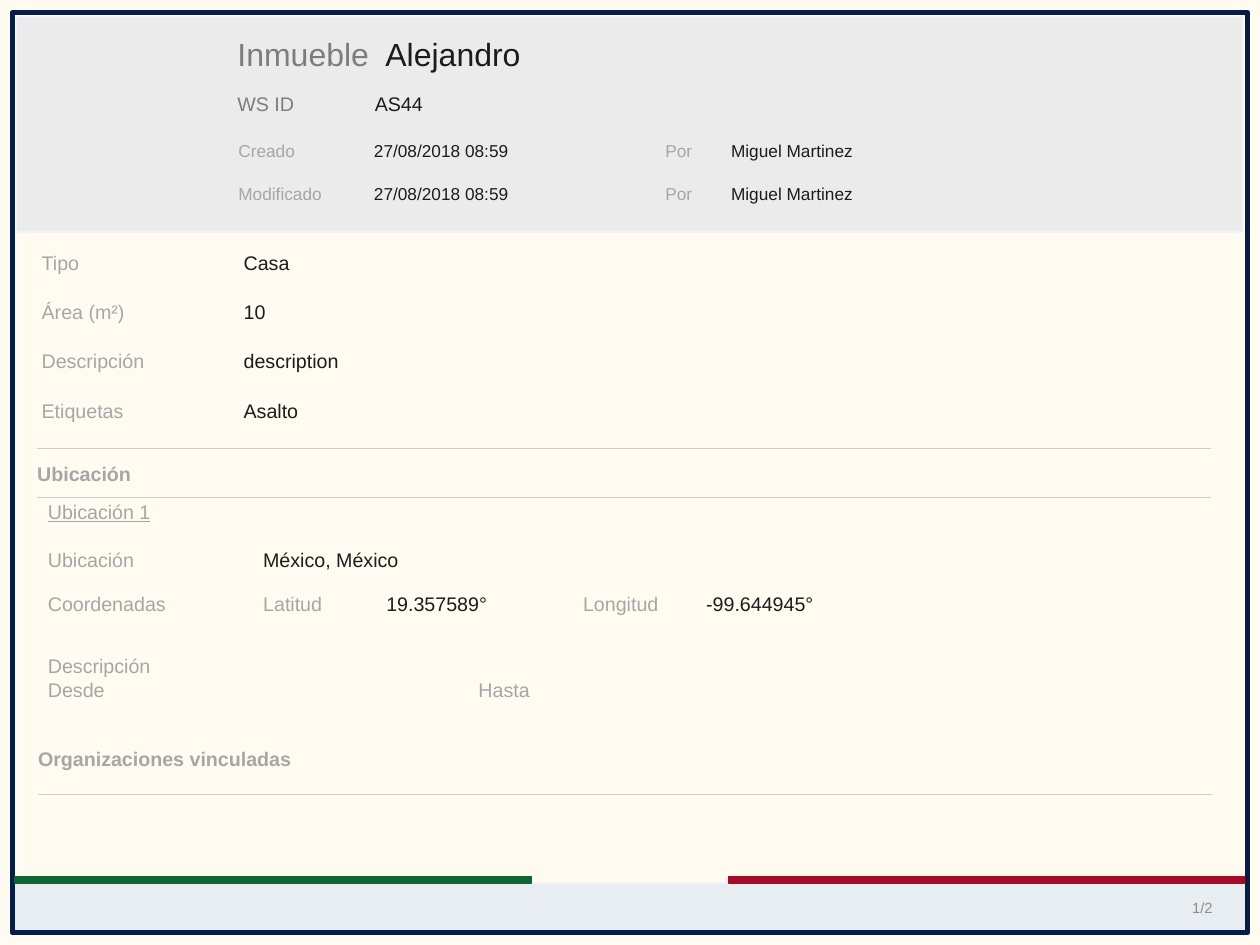
from pptx import Presentation
from pptx import util as u
from pptx.dml.color import RGBColor
from pptx.enum import shapes, text
from lxml import etree

# Content
TITLE = ("Inmueble", "Alejandro")
IDENTIFIER = ("WS ID", "AS44")
HISTORY = [
    ("Creado", "27/08/2018 08:59", "Por", "Miguel Martinez"),
    ("Modificado", "27/08/2018 08:59", "Por", "Miguel Martinez"),
]
DETAILS = [
    ("Tipo", "Casa"),
    ("Área (m²)", "10"),
    ("Descripción", "description"),
    ("Etiquetas", "Asalto"),
]
LOCATION_HEADING = "Ubicación"
LOCATION_NAME = "Ubicación 1"
PLACE = ("Ubicación", "México, México")
COORDINATES = ("Coordenadas", "Latitud", "19.357589°", "Longitud", "-99.644945°")
LOCATION_NOTE = "Descripción"
PERIOD = ("Desde", "Hasta")
LINKED_HEADING = "Organizaciones vinculadas"
PAGE_NUMBER = "1/2"

# Palette
PAPER, NAVY, GREEN, RED = "FFFBF0", "051D49", "0E6732", "A60B2A"
HEADER, FOOTER, EDGE, RULE = "EBEBEB", "E8EDF2", "F1F4F7", "D1CBCB"
INK, LABEL, TITLE_GREY, PAGE_GREY = "1C1C1C", "A6A6A6", "7D7D7D", "8D8D8D"

# Grid, in inches: (left, width) of the columns, then row steps
WIDTH, HEIGHT = 14.22, 10.67
ROW = 0.42
TITLE_COLUMNS = [(2.62, 1.67), (4.29, 9.31)]
ID_COLUMNS = [(2.62, 1.1), (4.17, 3.1)]
HISTORY_COLUMNS = [(2.69, 1.53), (4.22, 2.78), (7.51, 0.74), (8.25, 5.35)]
DETAIL_COLUMNS = [(0.47, 2.22), (2.69, 10.96)]
PLACE_COLUMNS = [(0.54, 2.22), (2.97, 9.44)]
COORDINATE_COLUMNS = [(0.54, 2.22), (2.97, 1.39), (4.36, 1.67),
                      (6.58, 1.39), (7.97, 1.67)]
PERIOD_COLUMNS = [(0.54, 2.22), (5.4, 2.22)]
HISTORY_TOP, LOCATION_TOP, NARROW_STEP = 1.58, 6.19, 0.49
DETAIL_TOP, DETAIL_STEP = 2.83, 0.557
RULE_LENGTH = 13.25
STRIPE_WIDTH, STRIPE_TOP, STRIPE_HEIGHT = 5.83, 9.9, 0.07

deck = Presentation()
deck.slide_width, deck.slide_height = u.Inches(WIDTH), u.Inches(HEIGHT)
page = deck.slides.add_slide(deck.slide_layouts[6])


def colour(value):
    return RGBColor.from_string(value)


def add_panel(left, top, width, height, fill, line, weight=1):
    panel = page.shapes.add_shape(shapes.MSO_SHAPE.RECTANGLE,
                                  *map(u.Inches, (left, top, width, height)))
    panel.shadow.inherit = False
    if fill:
        panel.fill.solid()
        panel.fill.fore_color.rgb = colour(fill)
    else:
        panel.fill.background()
    panel.line.color.rgb = colour(line)
    panel.line.width = u.Pt(weight)


def add_rule(left, top):
    rule = page.shapes.add_connector(
        shapes.MSO_CONNECTOR.STRAIGHT,
        *map(u.Inches, (left, top, left + RULE_LENGTH, top)))
    rule.line.color.rgb = colour(RULE)
    rule.line.width = u.Pt(1)
    properties = rule.line._get_or_add_ln().getparent()
    namespace = "http://schemas.openxmlformats.org/drawingml/2006/main"
    etree.SubElement(properties, "{%s}effectLst" % namespace)


def add_text(words, left, top, width, height=ROW, size=16, ink=LABEL,
             inset=0, bold=None, underline=None, centred=False):
    box = page.shapes.add_textbox(*map(u.Inches, (left, top, width, height)))
    frame = box.text_frame
    frame.word_wrap = True
    frame.margin_left = u.Inches(inset)
    frame.margin_top = frame.margin_right = frame.margin_bottom = 0
    para = frame.paragraphs[0]
    if centred:
        frame.vertical_anchor = text.MSO_ANCHOR.MIDDLE
        para.alignment = text.PP_ALIGN.CENTER
    span = para.add_run()
    span.text = words
    span.font.name = "Arial"
    span.font.size = u.Pt(size)
    span.font.color.rgb = colour(ink)
    span.font.bold = bold
    span.font.underline = underline


def add_row(words, columns, top, inks, insets=None, **style):
    insets = insets or [0] * len(words)
    for word, (left, width), ink, inset in zip(words, columns, inks, insets):
        add_text(word, left, top, width, ink=ink, inset=inset, **style)


# Background, footer and frame
page.background.fill.solid()
page.background.fill.fore_color.rgb = colour(PAPER)
add_panel(0.14, 9.97, 13.92, 0.56, FOOTER, EDGE)
add_panel(0.14, 0.14, 13.94, 10.39, None, NAVY, 4)
add_text(PAGE_NUMBER, 13.25, 10.03, 0.64, 0.44, size=12, ink=PAGE_GREY,
         centred=True)
for left, stripe in ((8.22, RED), (0.17, GREEN)):
    add_panel(left, STRIPE_TOP, STRIPE_WIDTH, STRIPE_HEIGHT, stripe, stripe)

# Header
add_panel(0.19, 0.19, 13.83, 2.43, HEADER, EDGE)
add_row(TITLE, TITLE_COLUMNS, 0.39, (TITLE_GREY, INK), (0.06, 0.06),
        height=0.65, size=26)
add_row(IDENTIFIER, ID_COLUMNS, 1.04, (TITLE_GREY, INK), (0.06, 0.06))
for i, entry in enumerate(HISTORY):
    add_row(entry, HISTORY_COLUMNS, HISTORY_TOP + i * NARROW_STEP,
            (LABEL, INK) * 2, size=14)

# Property details
for i, detail in enumerate(DETAILS):
    add_row(detail, DETAIL_COLUMNS, DETAIL_TOP + i * DETAIL_STEP,
            (LABEL, INK), (0, 0.06))

# Location
add_rule(0.42, 5.06)
add_text(LOCATION_HEADING, 0.42, 5.21, 8.35, bold=True)
add_rule(0.42, 5.62)
add_text(LOCATION_NAME, 0.54, 5.64, 2.22, underline=True)
add_row(PLACE, PLACE_COLUMNS, LOCATION_TOP, (LABEL, INK))
add_row(COORDINATES, COORDINATE_COLUMNS, LOCATION_TOP + NARROW_STEP,
        (LABEL, LABEL, INK, LABEL, INK))
add_text(LOCATION_NOTE, 0.54, 7.38, 2.22)
add_row(PERIOD, PERIOD_COLUMNS, 7.65, (LABEL, LABEL))

# Linked organisations
add_text(LINKED_HEADING, 0.43, 8.43, 8.36, bold=True)
add_rule(0.43, 8.97)

deck.save("out.pptx")
